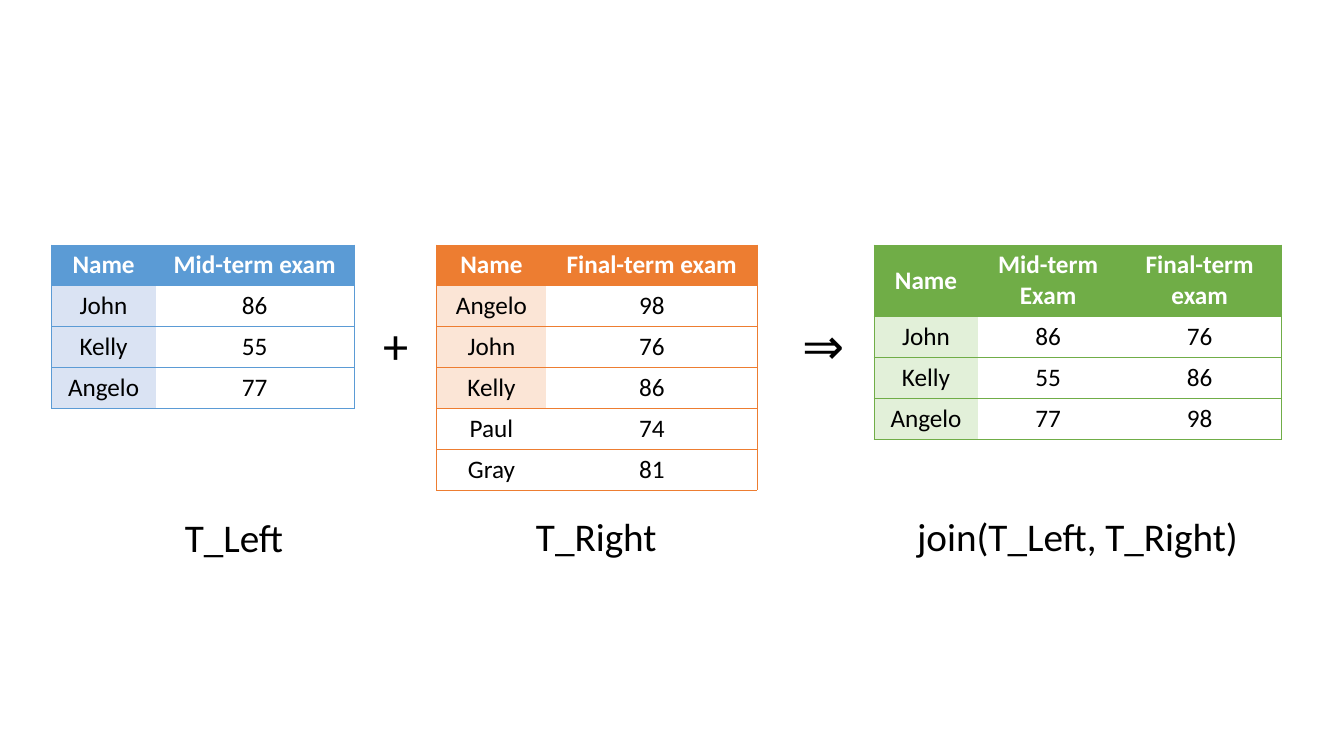
from dataclasses import dataclass

from lxml import etree
from pptx import Presentation
from pptx.dml.color import RGBColor
from pptx.enum.text import MSO_ANCHOR, PP_ALIGN
from pptx.oxml.ns import qn
from pptx.slide import Slide
from pptx.table import _Cell
from pptx.text.text import TextFrame
from pptx.util import Pt

CENTER = PP_ALIGN.CENTER
MIDDLE = MSO_ANCHOR.MIDDLE
FONT = "Calibri"
COLORS = {
    "black": "000000",
    "white": "FFFFFF",
    "blue": "5B9BD5",
    "pale blue": "DAE3F3",
    "orange": "ED7D31",
    "pale orange": "FBE5D6",
    "green": "70AD47",
    "pale green": "E2F0D9",
}
TABLE_TOP = 174.9
ROW_HEIGHT = 29.2
LINE_HEIGHT = 22
BORDER_WIDTH = 0.5
JOINED_NAMES = {"John", "Kelly", "Angelo"}


@dataclass
class ExamTable:
    left: float
    column_widths: list[float]
    color: str
    rows: list[list[str]]
    header_lines: int = 1


@dataclass
class Label:
    text: str
    left: float
    top: float
    width: float
    height: float
    size: float


TABLES = [
    ExamTable(36.9, [74.2, 141.8], "blue", [
        ["Name", "Mid-term exam"],
        ["John", "86"],
        ["Kelly", "55"],
        ["Angelo", "77"],
    ]),
    ExamTable(311.8, [78.5, 150.5], "orange", [
        ["Name", "Final-term exam"],
        ["Angelo", "98"],
        ["John", "76"],
        ["Kelly", "86"],
        ["Paul", "74"],
        ["Gray", "81"],
    ]),
    ExamTable(624.2, [74.6, 99.8, 116.8], "green", [
        ["Name", "Mid-term\nExam", "Final-term exam"],
        ["John", "86", "76"],
        ["Kelly", "55", "86"],
        ["Angelo", "77", "98"],
    ], header_lines=2),
]
LABELS = [
    Label("T_Left", 113.8, 362.9, 106.6, 41, 28),
    Label("T_Right", 362.9, 362.2, 126, 41, 28),
    Label("join(T_Left, T_Right)", 602.6, 362.2, 334.1, 41, 28),
    Label("+", 266.4, 221, 32.4, 51.1, 36),
    Label("⇒", 565.9, 221, 32.4, 51.1, 36),
]


def write_text(frame: TextFrame, text: str, *, size: float,
               color: str = "black", bold: bool = False) -> None:
    frame.word_wrap = True
    frame.text = text
    for paragraph in frame.paragraphs:
        paragraph.alignment = CENTER
        font = paragraph.runs[0].font
        font.name = FONT
        font.size = Pt(size)
        font.bold = bold
        font.color.rgb = RGBColor.from_string(COLORS[color])


def set_borders(cell: _Cell, color: str, visible: dict[str, bool]) -> None:
    """Draw the visible sides and clear the others; sides come in schema order."""
    properties = cell._tc.get_or_add_tcPr()
    for position, (side, shown) in enumerate(visible.items()):
        line = etree.Element(qn(f"a:{side}"), w=str(Pt(BORDER_WIDTH)))
        if shown:
            fill = etree.SubElement(line, qn("a:solidFill"))
            etree.SubElement(fill, qn("a:srgbClr"), val=COLORS[color])
        else:
            etree.SubElement(line, qn("a:noFill"))
        properties.insert(position, line)


def fill_cell(cell: _Cell, color: str | None) -> None:
    if color is None:
        cell.fill.background()
    else:
        cell.fill.solid()
        cell.fill.fore_color.rgb = RGBColor.from_string(COLORS[color])


def add_exam_table(slide: Slide, exam: ExamTable) -> None:
    header_height = ROW_HEIGHT + (exam.header_lines - 1) * LINE_HEIGHT
    heights = [header_height] + [ROW_HEIGHT] * (len(exam.rows) - 1)
    table = slide.shapes.add_table(
        len(heights), len(exam.column_widths), Pt(exam.left), Pt(TABLE_TOP),
        Pt(sum(exam.column_widths)), Pt(sum(heights))).table
    table.first_row = False
    table.horz_banding = False
    for column, width in zip(table.columns, exam.column_widths):
        column.width = Pt(width)
    last_column = len(exam.column_widths) - 1
    for row_index, values in enumerate(exam.rows):
        table.rows[row_index].height = Pt(heights[row_index])
        is_header = row_index == 0
        for column_index, value in enumerate(values):
            cell = table.cell(row_index, column_index)
            cell.vertical_anchor = MIDDLE
            write_text(cell.text_frame, value, size=18, bold=is_header,
                       color="white" if is_header else "black")
            if is_header:
                fill_cell(cell, exam.color)
            else:
                fill_cell(cell, f"pale {exam.color}" if value in JOINED_NAMES else None)
            set_borders(cell, exam.color, {
                "lnL": column_index == 0,
                "lnR": column_index == last_column,
                "lnT": True,
                "lnB": True,
            })


def add_label(slide: Slide, label: Label) -> None:
    box = slide.shapes.add_textbox(
        Pt(label.left), Pt(label.top), Pt(label.width), Pt(label.height))
    write_text(box.text_frame, label.text, size=label.size)


def main() -> None:
    presentation = Presentation()
    presentation.slide_width = Pt(960)
    presentation.slide_height = Pt(540)
    slide = presentation.slides.add_slide(presentation.slide_layouts[6])
    for exam in TABLES:
        add_exam_table(slide, exam)
    for label in LABELS:
        add_label(slide, label)
    presentation.save("out.pptx")


if __name__ == "__main__":
    main()
